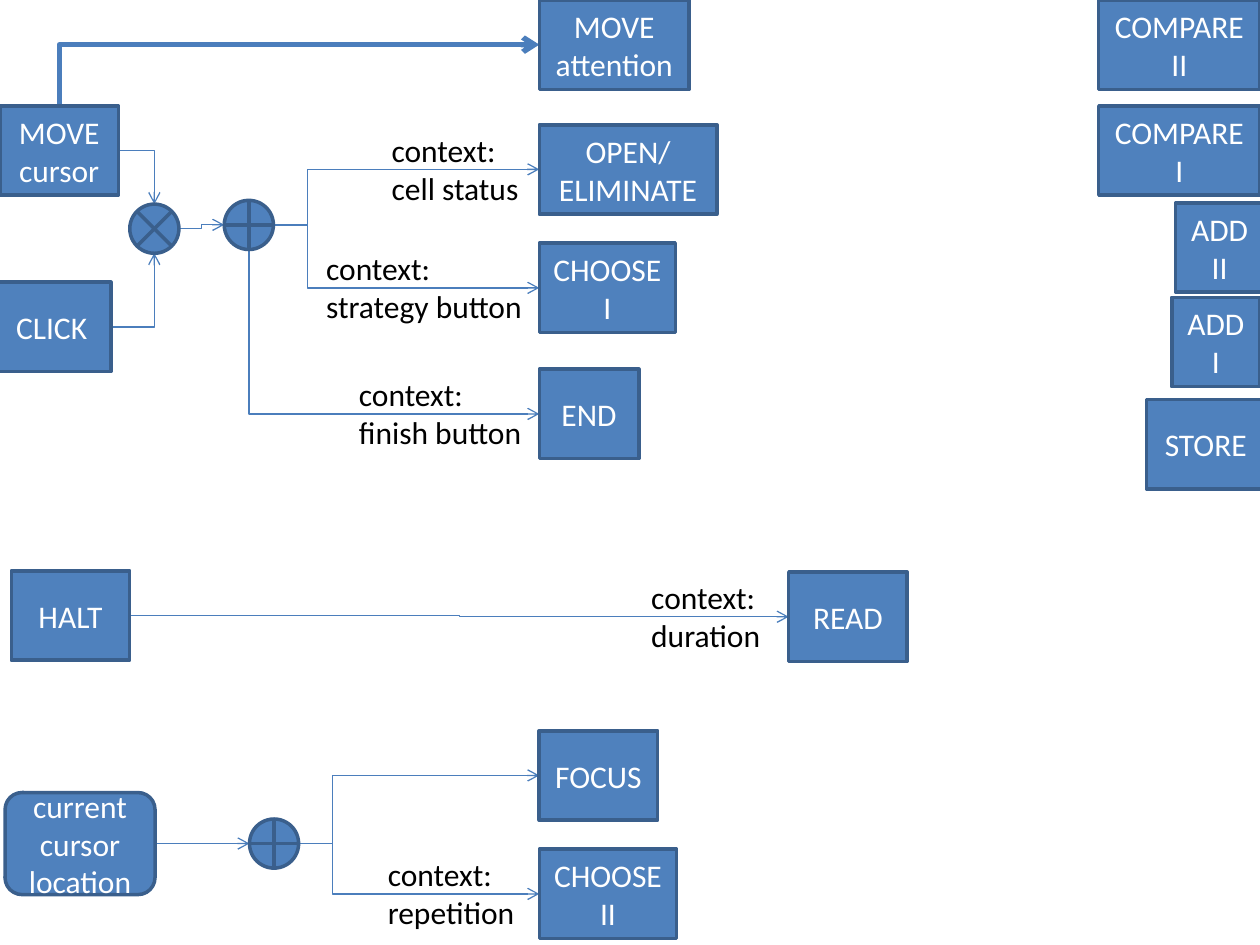
from dataclasses import dataclass

from lxml import etree
from pptx import Presentation
from pptx.dml.color import RGBColor
from pptx.enum.shapes import MSO_CONNECTOR, MSO_SHAPE
from pptx.enum.text import MSO_ANCHOR, MSO_AUTO_SIZE, PP_ALIGN
from pptx.oxml.ns import qn
from pptx.util import Inches, Pt

RECT = MSO_SHAPE.RECTANGLE
ROUNDED = MSO_SHAPE.ROUNDED_RECTANGLE
SUMMING = MSO_SHAPE.FLOWCHART_SUMMING_JUNCTION
OR_GATE = MSO_SHAPE.FLOWCHART_OR
ELBOW = MSO_CONNECTOR.ELBOW
CENTER, LEFT = PP_ALIGN.CENTER, PP_ALIGN.LEFT

BLUE = RGBColor(0x4F, 0x81, 0xBD)
OUTLINE = RGBColor(0x3A, 0x5F, 0x8C)
ARROW = RGBColor(0x4B, 0x7E, 0xBC)
WHITE = RGBColor(0xFF, 0xFF, 0xFF)
BLACK = RGBColor(0, 0, 0)

ACTION = 4.28   # left edge of the action column
WIDTH = 0.94
HEIGHT = 0.71
GATE = 0.39     # diameter of a junction
STUB = 0.27     # distance from a gate to its branching point


@dataclass(frozen=True)
class Label:
    text: str   # "\n" starts a paragraph, "\v" breaks a line
    left: float
    width: float


@dataclass(frozen=True)
class Node:
    text: str
    left: float
    top: float
    width: float = WIDTH
    height: float = HEIGHT
    kind: MSO_SHAPE = RECT
    label: Label | None = None
    grouped: bool = True

    def side(self, name: str) -> tuple[float, float]:
        across, down = {"top": (0.5, 0), "left": (0, 0.5),
                        "bottom": (0.5, 1), "right": (1, 0.5)}[name]
        return self.left + across * self.width, self.top + down * self.height


@dataclass(frozen=True)
class Link:
    source: str
    leave: str
    target: str
    enter: str = "left"
    weight: float = 0.75
    stub: float | None = None


NODES = {
    # Mouse events
    "move cursor": Node("MOVE cursor", 0, 0.84),
    "click": Node("CLICK", -0.06, 2.24),
    "both": Node("", 1.03, 1.62, GATE, GATE, SUMMING),
    "click gate": Node("", 1.78, 1.59, GATE, GATE, OR_GATE),
    "move attention": Node("MOVE attention", ACTION, 0, 1.19),
    "open": Node("OPEN/ ELIMINATE", ACTION, 0.99, 1.41,
                 label=Label("context: cell status", 3.01, 1.26)),
    "choose 1": Node("CHOOSE I", ACTION, 1.93, 1.08,
                     label=Label("context:\vstrategy button", 2.49, 1.77)),
    "end": Node("END", ACTION, 2.93, 0.79,
                label=Label("context:\vfinish button", 2.75, 1.62)),
    # Pause
    "halt": Node("HALT", 0.09, 4.53),
    "read": Node("READ", 6.26, 4.54, grouped=False,
                 label=Label("context:\nduration", 5.07, 1.18)),
    # Cursor location
    "location": Node("current cursor location", 0.04, 6.29, 1.19, 0.81, ROUNDED),
    "location gate": Node("", 1.98, 6.5, GATE, GATE, OR_GATE),
    "focus": Node("FOCUS", ACTION, 5.8),
    "choose 2": Node("CHOOSE II", ACTION, 6.74, 1.09,
                     label=Label("context: repetition", 2.98, 1.26)),
    # Unlinked operations
    "compare 2": Node("COMPARE II", 8.72, 0, 1.28),
    "compare 1": Node("COMPARE I", 8.72, 0.84, 1.28),
    "add 2": Node("ADD II", 9.33, 1.61, 0.7),
    "add 1": Node("ADD I", 9.3, 2.36, 0.7),
    "store": Node("STORE", 9.1, 3.17),
}

LINKS = [
    Link("move cursor", "top", "move attention", weight=3),
    Link("move cursor", "right", "both", "top"),
    Link("click", "right", "both", "bottom"),
    Link("both", "right", "click gate"),
    Link("click gate", "right", "open", stub=STUB),
    Link("click gate", "right", "choose 1", stub=STUB),
    Link("click gate", "bottom", "end"),
    Link("halt", "right", "read"),
    Link("location", "right", "location gate"),
    Link("location gate", "right", "focus", stub=STUB),
    Link("location gate", "right", "choose 2", stub=STUB),
]


def write(frame, text: str, color: RGBColor, align: PP_ALIGN) -> None:
    frame.word_wrap = True
    for i, paragraph in enumerate(text.split("\n")):
        para = frame.add_paragraph() if i else frame.paragraphs[0]
        para.alignment = align
        for j, line in enumerate(paragraph.split("\v")):
            if j:
                para.add_line_break()
            span = para.add_run()
            span.text = line
            span.font.name = "Calibri"
            span.font.size = Pt(18)
            span.font.color.rgb = color


def add_node(shapes, node: Node) -> None:
    if node.label and node.grouped:
        shapes = shapes.add_group_shape().shapes
    box = shapes.add_shape(node.kind, Inches(node.left), Inches(node.top),
                           Inches(node.width), Inches(node.height))
    box.shadow.inherit = False
    box.fill.solid()
    box.fill.fore_color.rgb = BLUE
    box.line.color.rgb = OUTLINE
    box.line.width = Pt(2)
    if node.text:
        box.text_frame.vertical_anchor = MSO_ANCHOR.MIDDLE
        write(box.text_frame, node.text, WHITE, CENTER)
    if node.label:
        note = shapes.add_textbox(Inches(node.label.left), Inches(node.top),
                                  Inches(node.label.width), Inches(HEIGHT))
        write(note.text_frame, node.label.text, BLACK, LEFT)
        note.text_frame.auto_size = MSO_AUTO_SIZE.SHAPE_TO_FIT_TEXT


def add_link(shapes, link: Link) -> None:
    x1, y1 = NODES[link.source].side(link.leave)
    x2, y2 = NODES[link.target].side(link.enter)
    upright = link.leave in ("top", "bottom")
    one_bend = upright or link.enter in ("top", "bottom")
    length = x2 - x1
    turn = 0
    if upright:
        # A path that starts vertically is a quarter turn of a horizontal one
        turn, sign = (90, 1) if y2 < y1 else (270, -1)
        mid_x, mid_y = (x1 + x2) / 2, (y1 + y2) / 2
        half_x, half_y = sign * (y2 - y1) / 2, sign * (x1 - x2) / 2
        x1, y1, x2, y2 = (mid_x - half_x, mid_y - half_y,
                          mid_x + half_x, mid_y + half_y)
    arrow = shapes.add_connector(ELBOW, Inches(x1), Inches(y1),
                                 Inches(x2), Inches(y2))
    arrow.line.color.rgb = ARROW
    arrow.line.width = Pt(link.weight)
    properties = arrow.element.spPr
    if turn:
        properties.find(qn("a:xfrm")).set("rot", str(turn * 60000))
    geometry = properties.find(qn("a:prstGeom"))
    if one_bend:
        geometry.set("prst", "bentConnector2")
    elif link.stub:
        guides = geometry.find(qn("a:avLst"))
        if guides is None:
            guides = etree.SubElement(geometry, qn("a:avLst"))
        etree.SubElement(guides, qn("a:gd"), name="adj1",
                         fmla=f"val {round(link.stub / length * 100000)}")
    etree.SubElement(properties.find(qn("a:ln")), qn("a:tailEnd"), type="arrow")
    etree.SubElement(properties, qn("a:effectLst"))


deck = Presentation()
deck.slide_width, deck.slide_height = Inches(10), Inches(7.5)
page = deck.slides.add_slide(deck.slide_layouts[6])
for link in LINKS:
    add_link(page.shapes, link)
for node in NODES.values():
    add_node(page.shapes, node)
deck.save("out.pptx")
